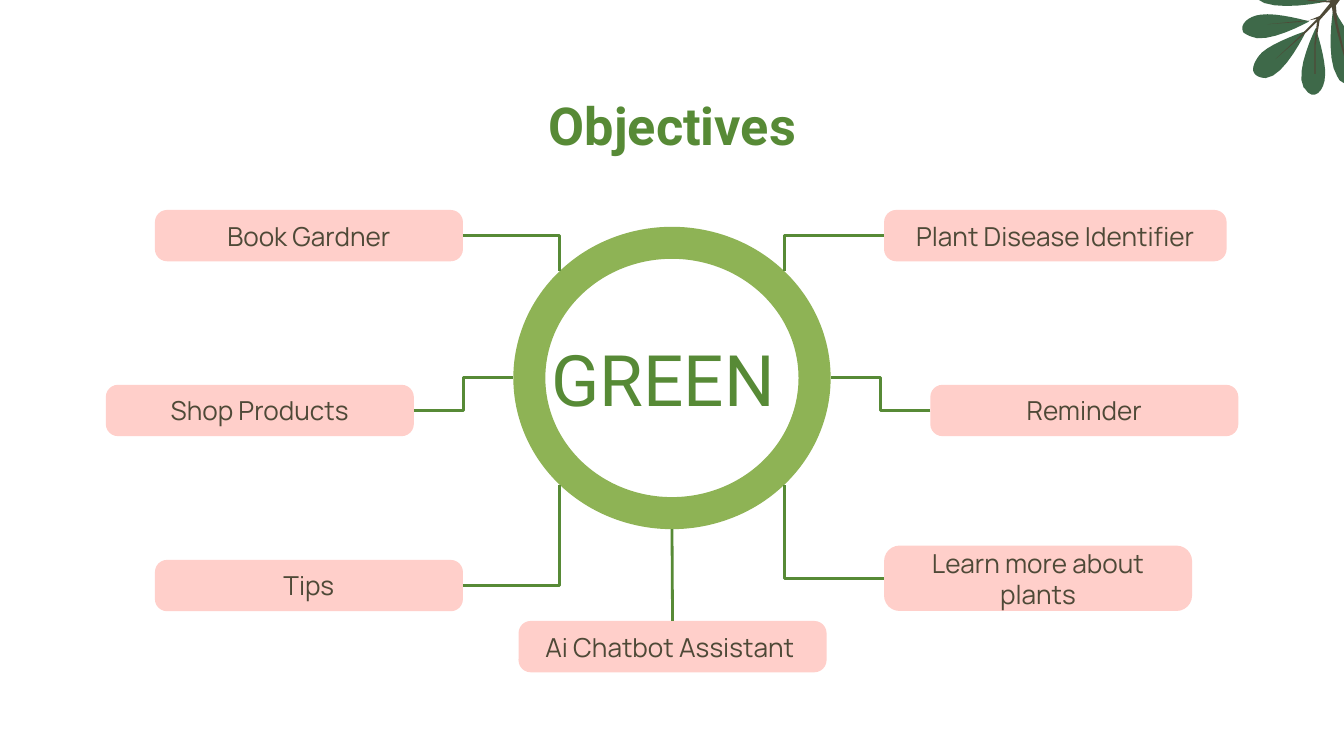
from lxml import etree
from pptx import Presentation
from pptx.dml.color import RGBColor
from pptx.enum.shapes import MSO_CONNECTOR, MSO_SHAPE
from pptx.enum.text import MSO_ANCHOR, PP_ALIGN
from pptx.oxml.ns import qn
from pptx.util import Pt

ELBOW, STRAIGHT = MSO_CONNECTOR.ELBOW, MSO_CONNECTOR.STRAIGHT
DONUT, ROUNDED = MSO_SHAPE.DONUT, MSO_SHAPE.ROUNDED_RECTANGLE
TOP, MIDDLE, CENTER = MSO_ANCHOR.TOP, MSO_ANCHOR.MIDDLE, PP_ALIGN.CENTER

DARK_GREEN, RING_GREEN, LEAF_GREEN = "578A36", "8EB355", "3E6949"
PINK, BROWN = "FFCFCA", "4E4937"

# Ring centre and radii
RING_X, RING_Y, RADIUS_X, RADIUS_Y = 360, 202.5, 85, 81
BOX_WIDTH, BOX_HEIGHT = 165, 27.5

# Connection sites: sides of a box, and points around the ring
BOX_TOP, BOX_LEFT, BOX_RIGHT = 0, 1, 3
RING_SITES = {1: (-1, -1), 2: (-1, 0), 3: (-1, 1), 4: (0, 1),
              5: (1, 1), 6: (1, 0), 7: (1, -1)}

# Text, left, top, width, height, box side, ring site
TOPICS = [
    ("Book Gardner", 83, 112.5, BOX_WIDTH, BOX_HEIGHT, BOX_RIGHT, 1),
    ("Shop Products", 56.7, 206.2, BOX_WIDTH, BOX_HEIGHT, BOX_RIGHT, 2),
    ("Tips", 83, 300, BOX_WIDTH, BOX_HEIGHT, BOX_RIGHT, 3),
    ("Learn more about plants", 473.6, 292.3, BOX_WIDTH, 35, BOX_LEFT, 5),
    ("Reminder", 498.4, 206.2, BOX_WIDTH, BOX_HEIGHT, BOX_LEFT, 6),
    ("Plant Disease Identifier", 473.6, 112.5, 183.5, BOX_HEIGHT, BOX_LEFT, 7),
    ("Ai Chatbot Assistant ", 277.8, 332.7, BOX_WIDTH, BOX_HEIGHT, BOX_TOP, 4),
]

# Cubic curves: a start point, then two control points and an end point each
LEAVES = [
    [(671.8, 38.9), (672.5, 40.3), (674.6, 41.8), (678.2, 41.8), (688.3, 41),
     (699.8, 16.6), (699.8, 16.6), (699.8, 16.6), (682.6, 22.3), (676.1, 28.1),
     (672.5, 31.7), (670.3, 36.7), (671.8, 38.9)],
    [(666, 17.3), (666.7, 18), (668.2, 18.7), (669.6, 19.4), (678.2, 24.5),
     (701.3, 11.5), (701.3, 11.5), (701.3, 11.5), (684, 6.5), (675.4, 7.9),
     (668.9, 8.6), (663.8, 13), (666, 17.3)],
    [(671, -2.9), (671.8, -2.2), (672.5, -1.4), (673.2, -0.7), (681.8, 7.2),
     (711.4, 0.7), (711.4, 0.7), (711.4, 0.7), (693.4, -10.1), (684, -12.2),
     (674.6, -13.7), (667.4, -8.6), (671, -2.9)],
    [(699.1, 47.5), (703.4, 54.7), (709.9, 49), (709.9, 40.3), (710.6, 32.4),
     (704.9, 15.1), (704.9, 15.1), (704.9, 15.1), (693.4, 38.2), (698.4, 46.8)],
    [(716.4, 41), (717.1, 41.8), (717.1, 42.5), (717.8, 43.2), (725.8, 49.7),
     (730.8, 41), (728.6, 31.7), (727.2, 25.2), (720.7, 15.1), (717.1, 9.4),
     (715.7, 6.5), (714.2, 5), (714.2, 5), (714.2, 5), (709.9, 31), (716.4, 41)],
]
BRANCH = [
    (683.3, 31.7), (700.6, 16.6), (705.6, 11.5), (704.2, 23), (704.2, 39.6),
    (704.9, 39.6), (704.9, 23.8), (707, 10.8), (713.5, 3.6), (714.2, 7.9),
    (716.4, 17.3), (720, 30), (720, 27), (716.4, 12), (715.7, 2.9),
    (721.4, -5), (720, -7.2), (714.2, 0), (707, 0.7), (696.2, -1.4),
    (701.3, 0.5), (712.8, 1.4), (707, 8.6), (701, 11), (694.1, 11.5),
    (679, 13), (696.2, 11.8), (705.6, 10.1), (695.5, 20.2),
]


def color(value):
    return RGBColor.from_string(value)


def paint(shape, fill):
    shape.shadow.inherit = False
    shape.fill.solid()
    shape.fill.fore_color.rgb = color(fill)
    shape.line.fill.background()


def write(shape, text, size, font, text_color, bold=False, anchor=MIDDLE):
    frame = shape.text_frame
    frame.word_wrap = True
    frame.vertical_anchor = anchor
    frame.margin_left = frame.margin_right = Pt(7.2)
    frame.margin_top = frame.margin_bottom = Pt(7.2)
    paragraph = frame.paragraphs[0]
    paragraph.alignment = CENTER
    run = paragraph.add_run()
    run.text = text
    run.font.size = Pt(size)
    run.font.name = font
    run.font.bold = bold
    run.font.color.rgb = color(text_color)


def add_label(slide, place, *text_style, **options):
    shape = slide.shapes.add_textbox(*map(Pt, place))
    write(shape, *text_style, **options)


def add_outline(slide, points, fill):
    corners = [(Pt(x), Pt(y)) for x, y in points]
    builder = slide.shapes.build_freeform(*corners[0], scale=1.0)
    builder.add_line_segments(corners[1:], close=True)
    paint(builder.convert_to_shape(), fill)


def curve_points(points, steps=8):
    """Follow a chain of cubic curves in short straight steps."""
    result = [points[0]]
    for index in range(0, len(points) - 1, 3):
        curve = points[index:index + 4]
        for step in range(1, steps + 1):
            t = step / steps
            weights = ((1 - t) ** 3, 3 * t * (1 - t) ** 2, 3 * t * t * (1 - t), t ** 3)
            result.append(tuple(sum(w * p[axis] for w, p in zip(weights, curve))
                                for axis in (0, 1)))
    return result


def add_ring(slide):
    ring = slide.shapes.add_shape(DONUT, Pt(RING_X - RADIUS_X), Pt(RING_Y - RADIUS_Y),
                                  Pt(2 * RADIUS_X), Pt(2 * RADIUS_Y))
    ring.adjustments[0] = 0.106
    paint(ring, RING_GREEN)
    return ring


def add_box(slide, text, *place):
    box = slide.shapes.add_shape(ROUNDED, *map(Pt, place))
    box.adjustments[0] = 0.237
    paint(box, PINK)
    write(box, text, 14, "Manrope", BROWN)
    return box


def ring_point(site):
    across, down = RING_SITES[site]
    scale = 0.5 ** 0.5 if across and down else 1
    return Pt(RING_X + across * scale * RADIUS_X), Pt(RING_Y + down * scale * RADIUS_Y)


def join(slide, box, side, ring, site):
    end = ring_point(site)
    kind = STRAIGHT if side == BOX_TOP else ELBOW
    connector = slide.shapes.add_connector(kind, *end, *end)
    connector.begin_connect(box, side)
    connector.line.color.rgb = color(DARK_GREEN)
    connector.line.width = Pt(1.5)
    properties = connector._element.spPr
    etree.SubElement(properties, qn("a:effectLst"))
    if all(RING_SITES[site]):
        properties.find(qn("a:prstGeom")).set("prst", "bentConnector2")
    # The ring has more sites than end_connect knows
    links = connector._element.find(".//" + qn("p:cNvCxnSpPr"))
    etree.SubElement(links, qn("a:endCxn"), id=str(ring.shape_id), idx=str(site))


def main():
    presentation = Presentation()
    presentation.slide_width, presentation.slide_height = Pt(720), Pt(405)
    slide = presentation.slides.add_slide(presentation.slide_layouts[6])

    # Corner plant
    for leaf in LEAVES:
        add_outline(slide, curve_points(leaf), LEAF_GREEN)
    add_outline(slide, BRANCH, BROWN)

    # Title and centre
    add_label(slide, (56.7, 42.5, 607, 44.6), "Objectives", 28, "Roboto", DARK_GREEN,
              bold=True, anchor=TOP)
    ring = add_ring(slide)
    add_label(slide, (284.4, 185, 151.2, 35.3), "GREEN ", 38, "Roboto", DARK_GREEN)

    # Topics around the ring
    for text, left, top, width, height, side, site in TOPICS:
        box = add_box(slide, text, left, top, width, height)
        join(slide, box, side, ring, site)

    presentation.save("out.pptx")


if __name__ == "__main__":
    main()
